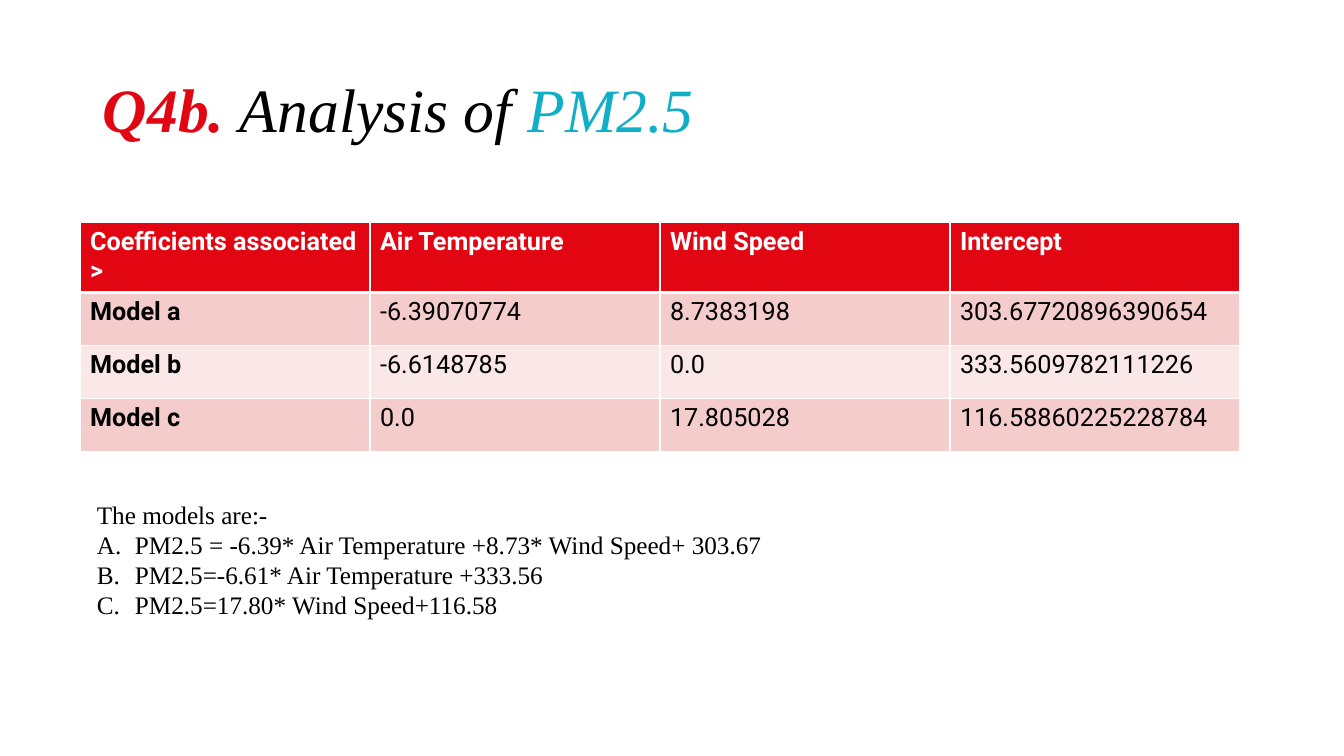
from lxml import etree
from pptx import Presentation
from pptx.dml.color import RGBColor
from pptx.enum.text import MSO_ANCHOR
from pptx.oxml.ns import qn
from pptx.util import Pt

MIDDLE = MSO_ANCHOR.MIDDLE
RED = RGBColor(0xE2, 0x06, 0x13)
TEAL = RGBColor(0x11, 0xAE, 0xC7)
BLACK = RGBColor(0, 0, 0)
WHITE = RGBColor(0xFF, 0xFF, 0xFF)
BAND_DARK = RGBColor(0xF4, 0xCC, 0xCC)
BAND_LIGHT = RGBColor(0xFA, 0xE7, 0xE7)
SERIF = "Times New Roman"
SANS = "Roboto"


def px(*lengths):
    return [round(length * 914400 / 100.8) for length in lengths]


def add_run(paragraph, text, color, **font_format):
    run = paragraph.add_run()
    run.text = text
    run.font.color.rgb = color
    for name, value in font_format.items():
        setattr(run.font, name, value)


presentation = Presentation()
presentation.slide_width, presentation.slide_height = px(1344, 756)
slide = presentation.slides.add_slide(presentation.slide_layouts[6])

# Title
title = slide.shapes.add_textbox(*px(93, 40, 1159, 146)).text_frame
title.word_wrap = True
title.vertical_anchor = MIDDLE
paragraph = title.paragraphs[0]
paragraph.line_spacing = 0.9
for text, color, bold in [("Q4b. ", RED, True), ("Analysis of ", BLACK, False), ("PM2.5", TEAL, False)]:
    add_run(paragraph, text, color, name=SERIF, size=Pt(44), bold=bold, italic=True)

# Coefficient table
coefficients = [
    ["Coefficients associated >", "Air Temperature", "Wind Speed", "Intercept"],
    ["Model a", "-6.39070774", "8.7383198", "303.67720896390654"],
    ["Model b", "-6.6148785", "0.0", "333.5609782111226"],
    ["Model c", "0.0", "17.805028", "116.58860225228784"],
]
row_fills = [RED, BAND_DARK, BAND_LIGHT, BAND_DARK]
table = slide.shapes.add_table(4, 4, *px(80, 222, 1160, 212)).table
for row_index, row in enumerate(coefficients):
    is_header = row_index == 0
    for column_index, text in enumerate(row):
        cell = table.cell(row_index, column_index)
        add_run(cell.text_frame.paragraphs[0], text, WHITE if is_header else BLACK,
                name=SANS, size=Pt(18), bold=is_header or column_index == 0)
        # White borders, thicker under the header
        border_widths = {"L": 1, "R": 1, "T": 3 if row_index == 1 else 1, "B": 3 if is_header else 1}
        properties = cell._tc.get_or_add_tcPr()
        for side, width in border_widths.items():
            border = etree.SubElement(properties, qn(f"a:ln{side}"), w=str(Pt(width)))
            border_fill = etree.SubElement(border, qn("a:solidFill"))
            etree.SubElement(border_fill, qn("a:srgbClr"), val=str(WHITE))
        cell.fill.solid()
        cell.fill.fore_color.rgb = row_fills[row_index]

# Model equations
equations = [
    "The models are:-",
    "PM2.5 = -6.39* Air Temperature +8.73* Wind Speed+ 303.67",
    "PM2.5=-6.61* Air Temperature +333.56",
    "PM2.5=17.80* Wind Speed+116.58",
]
models = slide.shapes.add_textbox(*px(87, 494, 1160, 163)).text_frame
models.word_wrap = True
indent = px(38)[0]
for index, text in enumerate(equations):
    paragraph = models.add_paragraph() if index else models.paragraphs[0]
    add_run(paragraph, text, BLACK, name=SERIF, size=Pt(18))
    if index:
        properties = paragraph._p.get_or_add_pPr()
        properties.set("marL", str(indent))
        properties.set("indent", str(-indent))
        etree.SubElement(properties, qn("a:buAutoNum"), type="alphaUcPeriod")

presentation.save("out.pptx")
